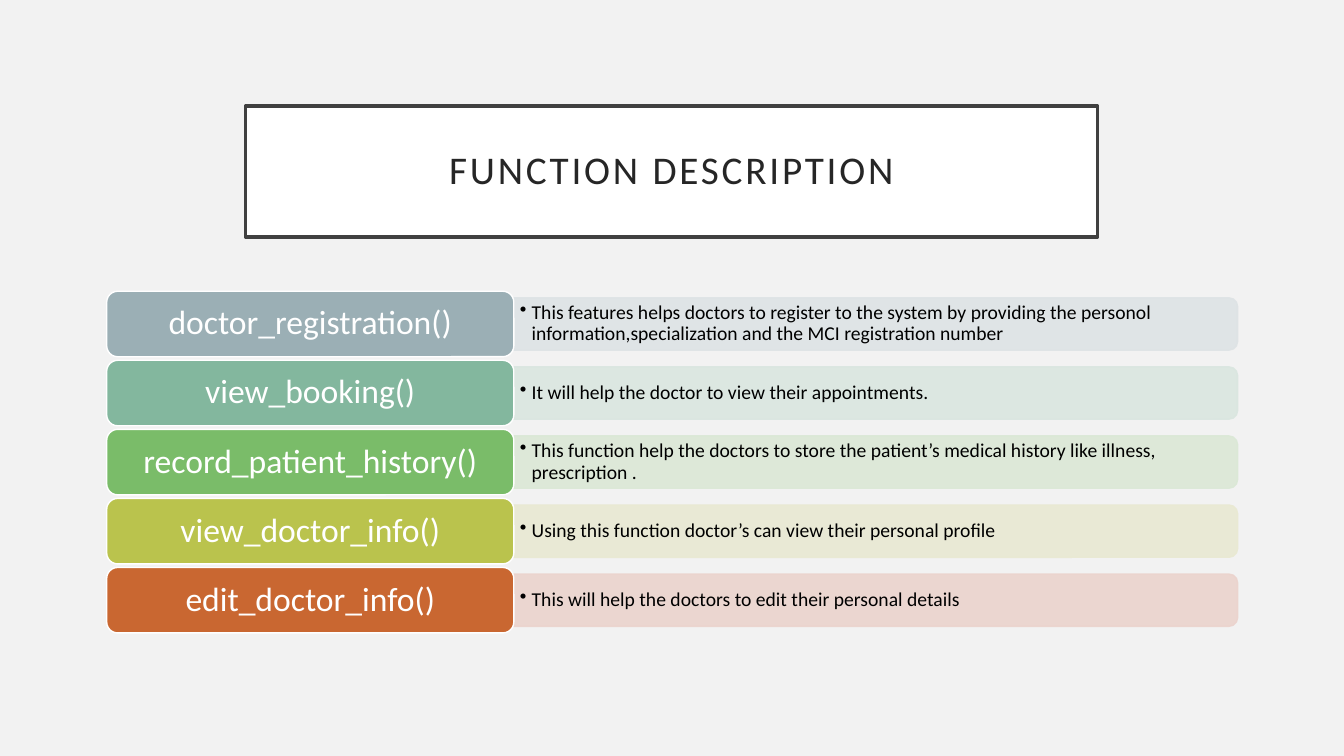
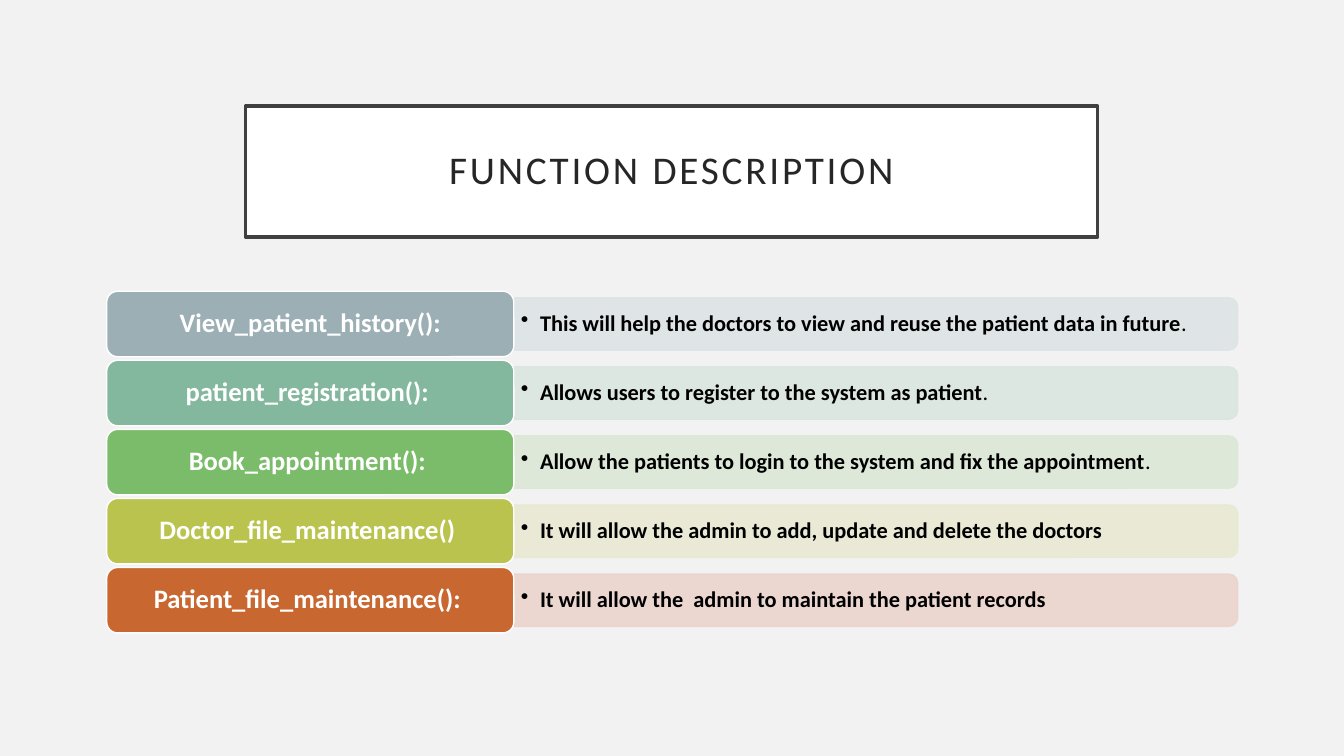
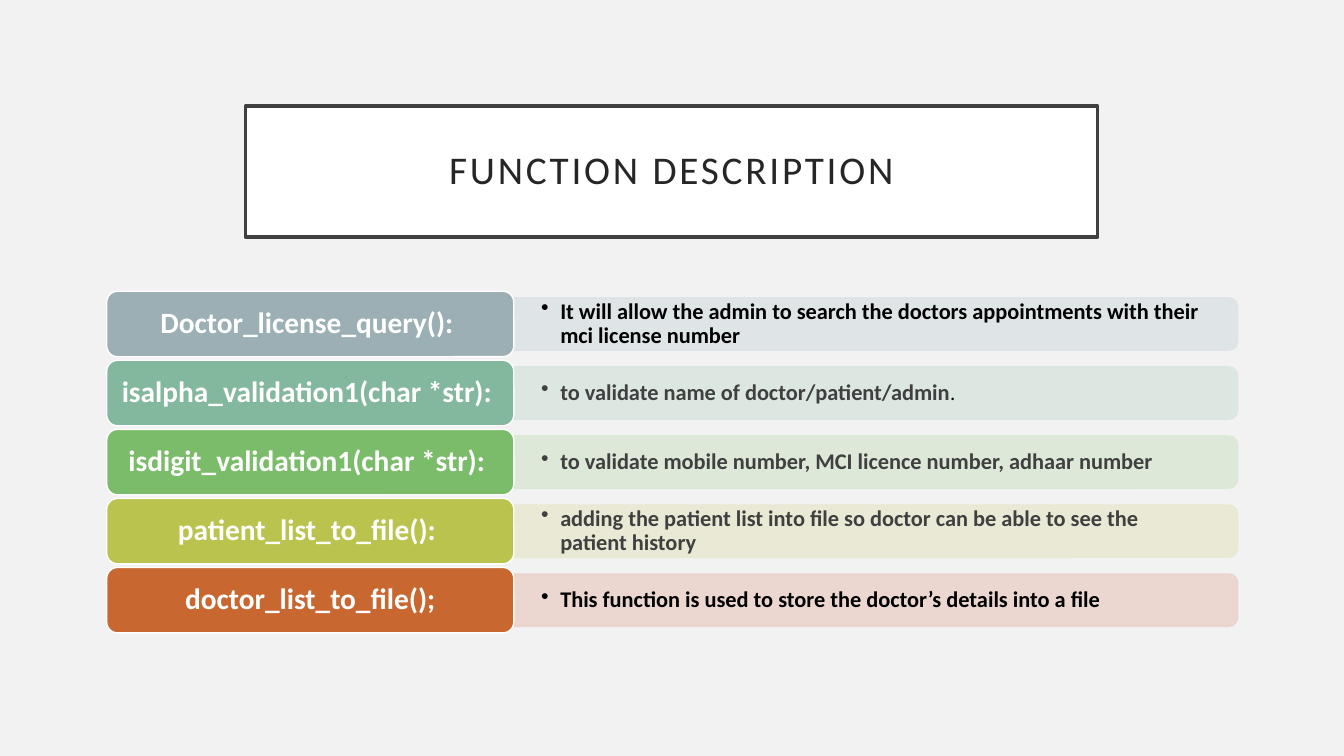
from lxml import etree
from pptx import Presentation
from pptx.dml.color import RGBColor
from pptx.enum.shapes import MSO_SHAPE
from pptx.enum.text import MSO_ANCHOR, PP_ALIGN
from pptx.oxml.ns import qn
from pptx.util import Cm, Pt

RECT = MSO_SHAPE.RECTANGLE
ROUND = MSO_SHAPE.ROUNDED_RECTANGLE
TAB = MSO_SHAPE.ROUND_2_SAME_RECTANGLE
MID = MSO_ANCHOR.MIDDLE
LEFT, CENTER = PP_ALIGN.LEFT, PP_ALIGN.CENTER

FONT = "Calibri"
HEX = {
    "back": "F2F2F2", "white": "FFFFFF", "black": "000000",
    "title": "262626", "gray": "404040",
}
# Label and band colour of each row
ROWS = [
    ("9BAFB5", "DEE3E5"), ("83B79E", "DAE6E0"), ("7ABC69", "DBE8D6"),
    ("BAC34D", "E9E9D2"), ("C96731", "EBD3CD"),
]

# Row grid in cm
TOP, STEP = 7.34, 1.74
LABEL_X, LABEL_W, LABEL_H = 2.69, 10.26, 1.65
BAND_X, BAND_W, BAND_H = LABEL_X + LABEL_W, 18.24, 1.32

# Text of each slide; a note is (main text, colour, plain ending)
SLIDES = [
    {
        "label": {"size": 24}, "note": {"size": 14, "pad": 0.15, "hang": 0.3},
        "rows": [
            ("doctor_registration()",
             ("This features helps doctors to register to the system by providing the "
              "personol information,specialization and the MCI registration number",
              "black", "")),
            ("view_booking()",
             ("It will help the doctor to view their appointments.", "black", "")),
            ("record_patient_history()",
             ("This function help the doctors to store the patient’s medical history "
              "like illness, prescription .", "black", "")),
            ("view_doctor_info()",
             ("Using this function doctor’s can view their personal profile",
              "black", "")),
            ("edit_doctor_info()",
             ("This will help the doctors to edit their personal details",
              "black", "")),
        ],
    },
    {
        "label": {"size": 19, "bold": True},
        "note": {"size": 16, "bold": True, "pad": 0.18, "hang": 0.48},
        "rows": [
            ("View_patient_history():",
             ("This will help the doctors to view and reuse the patient data in future",
              "black", ".")),
            ("patient_registration(): ",
             ("Allows users to register to the system as patient", "black", ".")),
            ("Book_appointment(): ",
             ("Allow the patients to login to the system and fix the appointment",
              "black", ".")),
            ("Doctor_file_maintenance() ",
             ("It will allow the admin to add, update and delete the doctors",
              "black", "")),
            ("Patient_file_maintenance(): ",
             ("It will allow the  admin to maintain the patient records",
              "black", "")),
        ],
    },
    {
        "label": {"size": 21, "bold": True},
        "note": {"size": 16, "bold": True, "pad": 0.69, "hang": 0.48, "end": 15},
        "rows": [
            ("Doctor_license_query(): ",
             ("It will allow the admin to search the doctors appointments with their "
              "mci license number", "black", "")),
            ("isalpha_validation1(char *str): ",
             ("to validate name of doctor/patient/admin", "gray", ".")),
            ("isdigit_validation1(char *str): ",
             ("to validate mobile number, MCI licence number, adhaar number",
              "gray", "")),
            ("patient_list_to_file(): ",
             ("adding the patient list into file so doctor can be able to see the "
              "patient history", "gray", "")),
            ("doctor_list_to_file();",
             ("This function is used to store the doctor’s details into a file",
              "black", "")),
        ],
    },
]


def rgb(code):
    return RGBColor.from_string(code)


def add_run(para, text, size, color, bold=False, space=0):
    run = para.add_run()
    run.text = text
    font = run.font
    font.name, font.size, font.bold = FONT, Pt(size), bold
    font.color.rgb = rgb(HEX[color])
    if space:
        run._r.get_or_add_rPr().set("spc", str(space * 100))


def write(shape, text, size, color="white", bold=False, align=CENTER,
          pad=0.2, space=0, hang=0, tail="", end=None):
    """Fill a shape with one paragraph, and a plain black tail if given."""
    frame = shape.text_frame
    frame.word_wrap = True
    frame.vertical_anchor = MID
    frame.margin_left = frame.margin_right = Cm(pad)
    frame.margin_top = frame.margin_bottom = 0
    para = frame.paragraphs[0]
    para.alignment = align
    para.line_spacing = 0.9
    if hang:
        props = para._p.get_or_add_pPr()
        props.set("marL", str(Cm(hang)))
        props.set("indent", str(-Cm(hang)))
        etree.SubElement(props, qn("a:buChar")).set("char", "•")
    add_run(para, text, size, color, bold, space)
    if tail:
        add_run(para, tail, end or size, "black")


def add_box(slide, kind, x, y, w, h, fill, line, width=1):
    box = slide.shapes.add_shape(kind, Cm(x), Cm(y), Cm(w), Cm(h))
    box.shadow.inherit = False
    box.fill.solid()
    box.fill.fore_color.rgb = rgb(fill)
    box.line.color.rgb = rgb(line)
    box.line.width = Pt(width)
    return box


def add_title(slide):
    box = add_box(slide, RECT, 6.19, 2.67, 21.47, 3.3,
                  HEX["white"], HEX["gray"], 2.5)
    write(box, "FUNCTION DESCRIPTION", 28, "title", pad=0.5, space=2)


def add_band(slide, mid, color):
    """Upright tab turned a quarter, so its round end points right."""
    x = BAND_X + (BAND_W - BAND_H) / 2
    band = add_box(slide, TAB, x, mid - BAND_W / 2, BAND_H, BAND_W, color, color)
    band.rotation = 90
    for tone in band._element.spPr.iter(qn("a:srgbClr")):
        etree.SubElement(tone, qn("a:alpha")).set("val", "90000")


def add_row(slide, mid, colors, label, note, style):
    fill, tint = colors
    add_band(slide, mid, tint)
    # Bulleted note
    text, color, tail = note
    box = slide.shapes.add_textbox(Cm(BAND_X), Cm(mid - 0.6), Cm(18.19), Cm(1.2))
    write(box, text, color=color, tail=tail, align=LEFT, **style["note"])
    # Function name
    tag = add_box(slide, ROUND, LABEL_X, mid - LABEL_H / 2, LABEL_W, LABEL_H,
                  fill, HEX["white"])
    write(tag, label, **style["label"])


def main():
    deck = Presentation()
    deck.slide_width, deck.slide_height = Cm(33.87), Cm(19.05)
    back = deck.slide_master.background.fill
    back.solid()
    back.fore_color.rgb = rgb(HEX["back"])
    for page in SLIDES:
        slide = deck.slides.add_slide(deck.slide_layouts[6])
        add_title(slide)
        for i, (colors, (label, note)) in enumerate(zip(ROWS, page["rows"])):
            mid = TOP + LABEL_H / 2 + i * STEP
            add_row(slide, mid, colors, label, note, page)
    deck.save("out.pptx")


if __name__ == "__main__":
    main()
